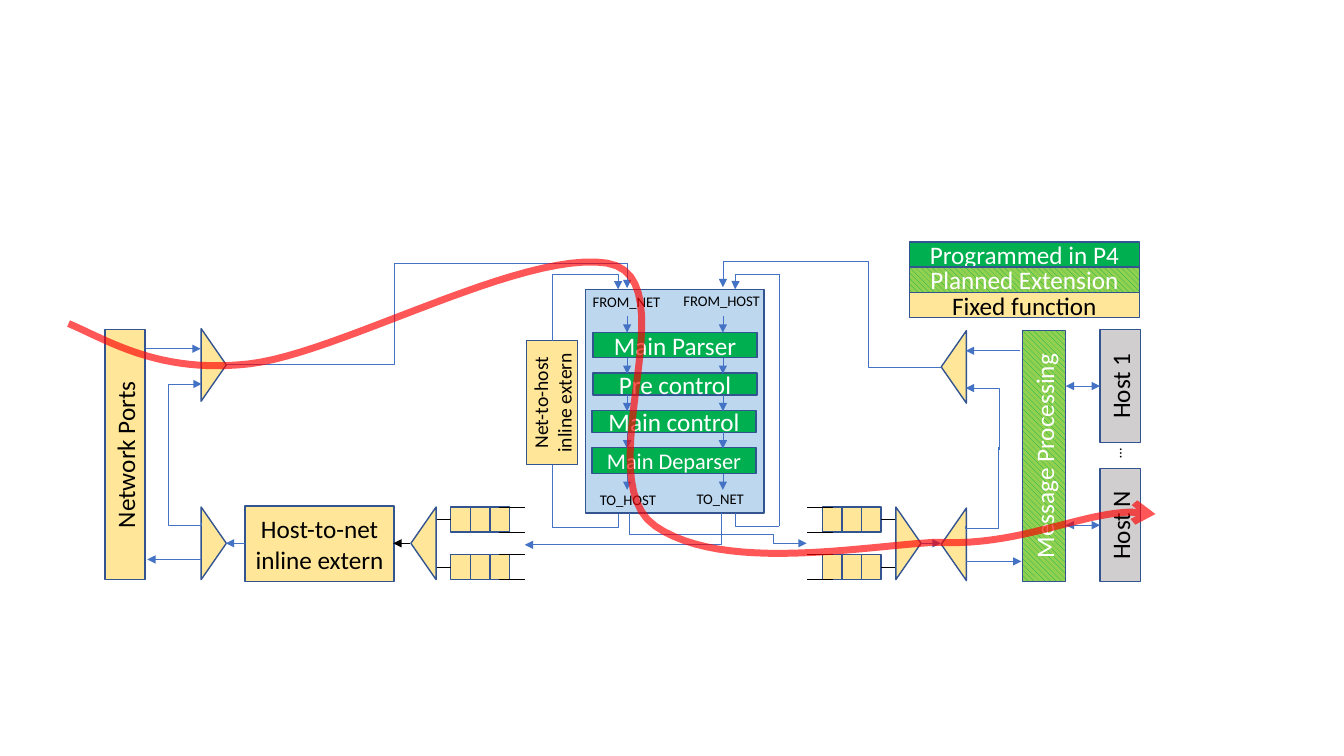
from dataclasses import dataclass
from itertools import product
from typing import NamedTuple, Optional

from lxml.etree import SubElement
from pptx import Presentation
from pptx.dml.color import RGBColor
from pptx.enum.dml import MSO_PATTERN
from pptx.enum.shapes import MSO_CONNECTOR, MSO_SHAPE
from pptx.enum.text import MSO_ANCHOR, PP_ALIGN
from pptx.oxml.ns import qn
from pptx.util import Inches, Pt

BLACK = RGBColor(0, 0, 0)
WHITE = RGBColor(255, 255, 255)


class Paint(NamedTuple):
    fill: RGBColor
    ink: RGBColor = BLACK
    hatch: Optional[RGBColor] = None


@dataclass(frozen=True)
class Theme:
    font: str = "Calibri"
    fixed: Paint = Paint(RGBColor(0xFF, 0xE6, 0x99))
    programmed: Paint = Paint(RGBColor(0x00, 0xB0, 0x50), WHITE)
    planned: Paint = Paint(RGBColor(0x00, 0xB0, 0x50), WHITE, RGBColor(0x92, 0xD0, 0x50))
    host: Paint = Paint(RGBColor(0xD0, 0xCE, 0xCE))
    pipeline: Paint = Paint(RGBColor(0xBD, 0xD7, 0xEE))
    outline: RGBColor = RGBColor(0x32, 0x54, 0x91)
    wire: RGBColor = RGBColor(0x44, 0x72, 0xC4)
    flow: RGBColor = RGBColor(0xFF, 0x00, 0x00)
    body: float = 18
    medium: float = 16
    small: float = 14
    port: float = 10.5
    border: float = 1
    thin: float = 0.5
    thick: float = 5


TH = Theme()


class Box(NamedTuple):
    text: str
    left: float
    top: float
    width: float
    height: float
    paint: Paint
    rotation: int = 0
    size: float = TH.body
    kind: MSO_SHAPE = MSO_SHAPE.RECTANGLE


class Label(NamedTuple):
    text: str
    left: float
    top: float
    width: float
    rotation: int = 0


class Wire(NamedTuple):
    x1: float
    y1: float
    x2: float
    y2: float
    ends: tuple[str, ...] = ("tailEnd",)
    color: RGBColor = TH.wire


class Elbow(NamedTuple):
    left: float
    top: float
    width: float
    height: float
    rotation: int
    flip: str
    bends: tuple[float, ...]
    ends: tuple[str, ...] = ()


def write(sp, text: str, size: float, ink: RGBColor, align: PP_ALIGN) -> None:
    sp.text_frame.text = text
    p = sp.text_frame.paragraphs[0]
    p.alignment = align
    for r in p.runs:
        r.font.name, r.font.size = TH.font, Pt(size)
        r.font.color.rgb = ink


def add_box(s, b: Box) -> None:
    sp = s.shapes.add_shape(b.kind, *map(Inches, b[1:5]))
    sp.shadow.inherit = False
    sp.rotation = b.rotation
    if b.paint.hatch:
        sp.fill.patterned()
        sp.fill.pattern = MSO_PATTERN.WIDE_DOWNWARD_DIAGONAL
        sp.fill.fore_color.rgb, sp.fill.back_color.rgb = b.paint.fill, b.paint.hatch
    else:
        sp.fill.solid()
        sp.fill.fore_color.rgb = b.paint.fill
    sp.line.color.rgb, sp.line.width = TH.outline, Pt(TH.border)
    if b.text:
        sp.text_frame.vertical_anchor = MSO_ANCHOR.MIDDLE
        write(sp, b.text, b.size, b.paint.ink, PP_ALIGN.CENTER)


def add_triangle(s, cx: float, cy: float, rotation: int) -> None:
    w, h = 0.72, 0.25
    add_box(s, Box("", cx - w / 2, cy - h / 2, w, h, TH.fixed, rotation,
                   kind=MSO_SHAPE.ISOSCELES_TRIANGLE))


def add_label(s, b: Label) -> None:
    sp = s.shapes.add_textbox(*map(Inches, (b.left, b.top, b.width, 0.28)))
    sp.rotation = b.rotation
    sp.text_frame.word_wrap = bool(b.rotation)
    write(sp, b.text, TH.port, BLACK, PP_ALIGN.CENTER if b.rotation else PP_ALIGN.LEFT)


def style_line(line, color: RGBColor, width: float, ends: tuple[str, ...], head: str = "triangle") -> None:
    line.color.rgb, line.width = color, Pt(width)
    for end in ends:
        SubElement(line._get_or_add_ln(), qn(f"a:{end}"), type=head)


def add_wire(s, w: Wire, kind: MSO_CONNECTOR = MSO_CONNECTOR.STRAIGHT):
    cx = s.shapes.add_connector(kind, *map(Inches, w[:4]))
    style_line(cx.line, w.color, TH.thin, w.ends)
    SubElement(cx._element.spPr, qn("a:effectLst"))
    return cx


def add_elbow(s, e: Elbow) -> None:
    x1, x2 = e.left, e.left + e.width
    y1, y2 = e.top, e.top + e.height
    if "h" in e.flip:
        x1, x2 = x2, x1
    if "v" in e.flip:
        y1, y2 = y2, y1
    cx = add_wire(s, Wire(x1, y1, x2, y2, e.ends), MSO_CONNECTOR.ELBOW)
    pr = cx._element.spPr
    pr.find(qn("a:xfrm")).set("rot", str(e.rotation * 60000))
    geom = pr.find(qn("a:prstGeom"))
    geom.set("prst", f"bentConnector{len(e.bends) + 2}")
    for i, bend in enumerate(e.bends, 1):
        SubElement(geom.find(qn("a:avLst")), qn("a:gd"), name=f"adj{i}", fmla=f"val {round(bend * 100000)}")


def add_queues(s, mirrored: bool) -> None:
    def mx(x: float) -> float:
        return 13.21 - x if mirrored else x
    cell, height = 0.195, 0.25
    for top in (5.03, 5.5):
        for i in range(3):
            x = 4.47 + cell * i
            add_box(s, Box("", min(mx(x), mx(x + cell)), top, cell, height, TH.fixed))
        mid = top + height / 2
        for x1, x2, y in ((4.95, 5.21, top), (4.95, 5.21, top + height), (4.47, 4.32, mid)):
            add_wire(s, Wire(mx(x1), y, mx(x2), y, (), BLACK))
    add_triangle(s, mx(4.2), 5.39, 90 if mirrored else 270)


def add_flow(s, start: tuple[float, float], curves: list[tuple[float, ...]], steps: int = 24) -> None:
    points, (x0, y0) = [], start
    for ax, ay, bx, by, x1, y1 in curves:
        for t in (i / steps for i in range(1, steps + 1)):
            k = ((1 - t) ** 3, 3 * t * (1 - t) ** 2, 3 * t * t * (1 - t), t ** 3)
            points.append(tuple(Inches(sum(f * v for f, v in zip(k, axis)))
                                for axis in ((x0, ax, bx, x1), (y0, ay, by, y1))))
        x0, y0 = x1, y1
    fb = s.shapes.build_freeform(*map(Inches, start))
    fb.add_line_segments(points, close=False)
    sp = fb.convert_to_shape()
    sp.shadow.inherit = False
    sp.fill.background()
    style_line(sp.line, TH.flow, TH.thick, ("tailEnd",), "arrow")
    SubElement(sp._element.spPr.find(".//" + qn("a:srgbClr")), qn("a:alpha"), val="65000")


TAIL, BOTH = ("tailEnd",), ("headEnd", "tailEnd")
BLOCKS = [
    Box("Message Processing", 9.11, 4.31, 2.49, 0.43, TH.planned, 270),
    Box("Host-to-net inline extern", 2.43, 5.02, 1.48, 0.75, TH.fixed),
    Box("Network Ports", 0, 4.31, 2.48, 0.4, TH.fixed, 270),
    Box("Host 1", 10.55, 3.63, 1.12, 0.4, TH.host, 270),
    Box("Host N", 10.55, 5.01, 1.12, 0.4, TH.host, 270),
    Box("", 5.81, 2.87, 1.77, 2.22, TH.pipeline),
    Box("Main Parser", 5.88, 3.3, 1.63, 0.25, TH.programmed),
    Box("Pre control", 5.88, 3.7, 1.63, 0.22, TH.programmed),
    Box("Main control", 5.87, 4.07, 1.63, 0.22, TH.programmed),
    Box("Main Deparser", 5.87, 4.44, 1.63, 0.26, TH.programmed, size=TH.medium),
    Box("Net-to-host inline extern", 4.86, 3.74, 1.23, 0.51, TH.fixed, 270, TH.small),
]
LABELS = [Label("FROM_HOST", 6.68, 2.85, 0.98), Label("TO_HOST", 5.85, 4.82, 0.78),
          Label("FROM_NET", 5.78, 2.86, 0.89), Label("TO_NET", 6.81, 4.81, 0.68),
          Label("…", 10.94, 4.38, 0.26, 270)]
TRIANGLES = [(2.12, 3.62, 90), (2.12, 5.39, 90), (9.46, 5.4, 270), (9.46, 3.64, 270)]
WIRES = [
    Wire(4.07, 5.39, 3.9, 5.39, color=BLACK), Wire(1.45, 3.46, 1.99, 3.46),
    Wire(1.99, 5.55, 1.46, 5.55), Wire(2.43, 5.39, 2.24, 5.39),
    Wire(10.57, 3.83, 10.91, 3.83, BOTH), Wire(10.57, 5.21, 10.91, 5.21, BOTH),
    Wire(9.58, 5.57, 10.13, 5.57), Wire(10.12, 3.48, 9.58, 3.48),
    Wire(9.14, 5.39, 9.33, 5.39), Wire(7.67, 5.39, 7.67, 5.3, ()),
    Wire(7.67, 5.39, 8, 5.39), Wire(7.73, 5.22, 7.73, 2.72, ()),
    Wire(5.48, 3.38, 5.48, 2.72, ()), Wire(5.48, 5.23, 5.48, 4.61, ()),
] + [Wire(x, y, x, y + 0.16) for x, y in product((6.22, 7.17), (3.14, 3.55, 3.92, 4.29, 4.7))]
ELBOWS = [
    Elbow(1.44, 4.63, 0.78, 0.33, 270, "v", (-0.04,)),
    Elbow(1.53, 3.95, 0.61, 0.33, 90, "hv", (1,), TAIL),
    Elbow(7.17, 2.85, 2.16, 0.79, 180, "", (0.33, 1.32), TAIL),
    Elbow(9.35, 4.66, 0.78, 0.33, 270, "", (-0.04,)),
    Elbow(9.44, 3.99, 0.61, 0.33, 90, "h", (1,), TAIL),
    Elbow(2.24, 2.86, 3.98, 0.76, 0, "v", (0.42, 1.33), TAIL),
    Elbow(6.02, 4.27, 0.32, 1.95, 90, "", (), TAIL),
    Elbow(6.85, 4.48, 0.21, 1.43, 270, "h", ()),
    Elbow(7.29, 5.09, 0.44, 0.13, 0, "", (0.01,)),
    Elbow(7.29, 2.72, 0.45, 0.15, 180, "v", (0.99,), TAIL),
    Elbow(5.48, 5.1, 0.65, 0.13, 0, "h", (0,)),
    Elbow(5.48, 2.72, 0.65, 0.15, 180, "hv", (1,), TAIL),
]
LEGEND = [("Programmed in P4", TH.programmed), ("Planned Extension", TH.planned), ("Fixed function", TH.fixed)]
FLOW = [(1.08, 3.38, 1.58, 3.71, 2.47, 3.61), (3.36, 3.51, 5.17, 2.48, 6.02, 2.61),
        (6.86, 2.75, 5.81, 4.75, 6.5, 5.22), (7.18, 5.69, 8.6, 5.41, 9.29, 5.38),
        (10.22, 5.43, 10.88, 4.98, 11.46, 5.1)]

prs = Presentation()
prs.slide_width, prs.slide_height = Inches(13.33), Inches(7.5)
s = prs.slides.add_slide(prs.slide_layouts[6])
for side in (False, True):
    add_queues(s, side)
for block in BLOCKS:
    add_box(s, block)
for triangle in TRIANGLES:
    add_triangle(s, *triangle)
for label in LABELS:
    add_label(s, label)
for wire in WIRES:
    add_wire(s, wire)
for elbow in ELBOWS:
    add_elbow(s, elbow)
add_flow(s, (0.68, 3.21), FLOW)
for row, (name, paint) in enumerate(LEGEND):
    add_box(s, Box(name, 9.02, 2.4 + 0.25 * row, 2.28, 0.25, paint))
prs.save("out.pptx")
